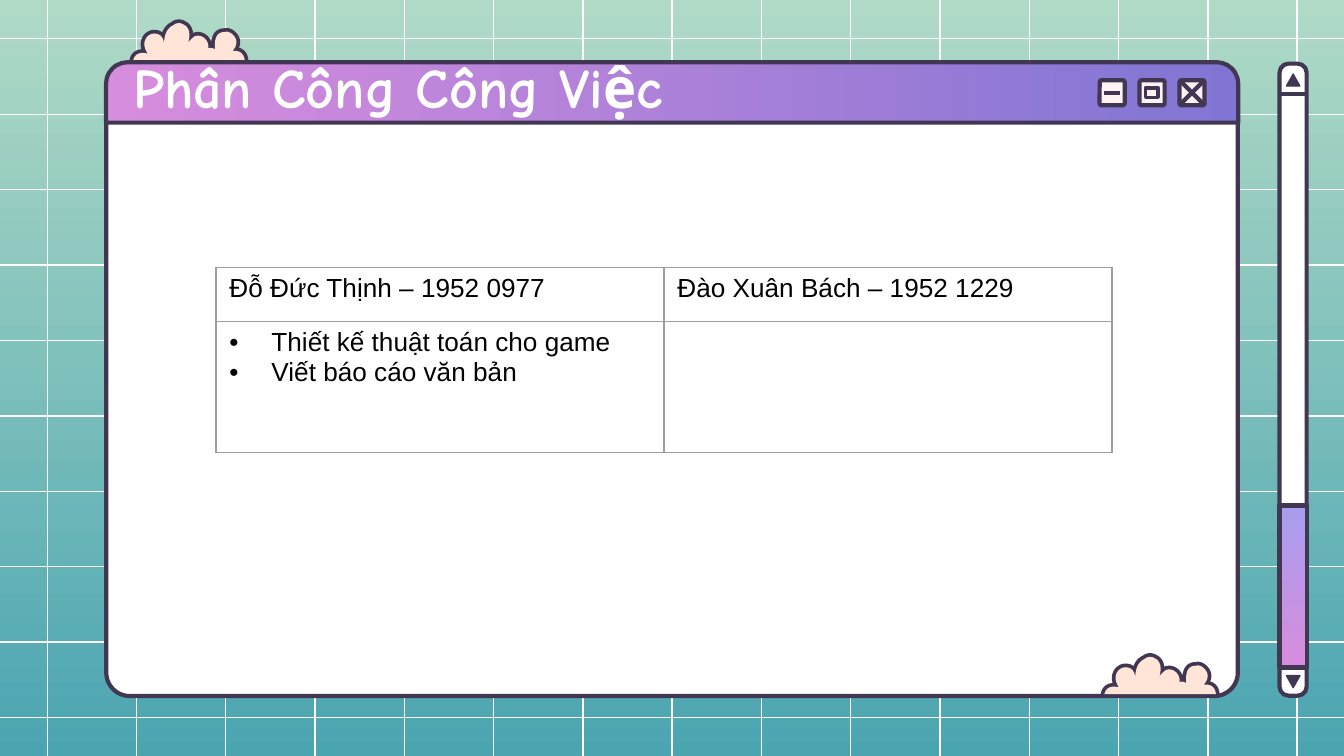
"""Build the work-assignment slide styled as a retro application window."""
from lxml.etree import SubElement
from pptx import Presentation
from pptx.dml.color import RGBColor
from pptx.enum.shapes import MSO_CONNECTOR, MSO_SHAPE
from pptx.enum.text import MSO_ANCHOR
from pptx.oxml.ns import qn
from pptx.util import Pt

TITLE = "Phân Công Công Việc"
ASSIGNMENTS = [
    [["Đỗ Đức Thịnh – 1952 0977"], ["Đào Xuân Bách – 1952 1229"]],
    [["Thiết kế thuật toán cho game", "Viết báo cáo văn bản"], []],
]

THEME = {
    "ink": "423752", "white": "FFFFFF", "black": "000000", "cloud": "FFE4D8",
    "button": "FEF2F2", "border": "9E9E9E",
    "background": ("B0DAC6", "4BA5B1"), "header": ("D78DDD", "8175D4"),
    "thumb": ("A89DEE", "D78DDD"),
    "title_font": "Comic Neue", "body_font": "Arial", "title_size": 30, "body_size": 14,
    "outline": 2.25, "hairline": 0.75, "icon": 2.27, "small_icon": 1.85,
}

WIDTH, HEIGHT = 720, 405
GRID_X = {"start": 25.3, "step": 47.83, "count": 15}
GRID_Y = {"start": 20.8, "step": 40.4, "count": 10}
BODY = (56.9, 58.3, 606.2, 314.6)
HEADER = (56.8, 33.3, 606.6, 32.4)
TITLE_BOX = (56.9, 35.3, 473.8, 28.8)
TRACK = (685.5, 34.1, 14.5, 338.6)
THUMB = (685.5, 270.8, 14.5, 86.5)
ARROWS = [((689.2, 39.7, 7.2, 6.4), 0), ((689.2, 362, 7.2, 6.4), 180)]
TRACK_ENDS = [50.4, 357.6]
BUTTONS = {"left": 589.1, "top": 43, "step": 21.4, "size": 13.4}
BUTTON_STROKES = [[(2.4, 6.7, 11, 6.7)], [], [(0.3, 0.3, 13, 13), (13, 0.3, 0.3, 13)]]
RESTORE_ICON = (3.2, 4.2, 6.8, 5)
TABLE = {"left": 115.7, "top": 143.2, "columns": [240, 240], "rows": [29, 70.2]}
BULLET_INDENT = 22.5

CLOUD_PLACES = {"bottom": (591.6, 351.7), "top": (71.3, 12.2)}
CLOUD_START = [(0, 20.2), (59.8, 20.2)]
CLOUD_CURVES = [
    ((59.8, 20.2), (59.8, 14.4), (53.3, 15.1)),
    ((53.3, 15.1), (56.9, 11.5), (54.7, 7.9)),
    ((53.3, 5.8), (51.1, 4.3), (49, 5)),
    ((46.1, 5), (43.2, 6.5), (43.9, 14.4)),
    ((43.9, 14.4), (42.5, 13), (40.3, 13.7)),
    ((41, 10.1), (37.4, 5.8), (33.1, 7.2)),
    ((32.4, 7.9), (31, 8.6), (29.5, 10.8)),
    ((29.5, 10.8), (32.4, 2.9), (26.6, 0.7)),
    ((25.2, 0), (23, 0), (21.6, 1.4)),
    ((19.4, 2.2), (16.6, 5), (16.6, 11.5)),
    ((16.6, 11.5), (16.6, 5.8), (11.5, 5.8)),
    ((9.4, 5.8), (7.2, 7.2), (6.5, 9.4)),
    ((5.8, 10.8), (5.8, 13.7), (7.9, 16.6)),
    ((7.9, 16.6), (1.4, 14.4), (0, 20.2)),
]
CURVE_STEPS = 8


def color(name):
    return RGBColor.from_string(THEME[name])


def set_values(target, values):
    for name, value in values.items():
        setattr(target, name, value)


def fill_gradient(fill, name, angle):
    fill.gradient()
    fill.gradient_angle = angle
    for stop, shade in zip(fill.gradient_stops, THEME[name]):
        stop.color.rgb = RGBColor.from_string(shade)


def paint(shape, fill=None, line="ink", weight=THEME["outline"], angle=None):
    shape.shadow.inherit = False
    if fill is None:
        shape.fill.background()
    elif angle is not None:
        fill_gradient(shape.fill, fill, angle)
    else:
        shape.fill.solid()
        shape.fill.fore_color.rgb = color(fill)
    if line is None:
        shape.line.fill.background()
    else:
        shape.line.color.rgb = color(line)
        shape.line.width = Pt(weight)


def add_block(slide, preset, box, adjustments=(), rotation=0, **style):
    shape = slide.shapes.add_shape(preset, *map(Pt, box))
    shape.rotation = rotation
    for index, value in enumerate(adjustments):
        shape.adjustments[index] = value
    paint(shape, **style)


def add_line(slide, ends, line="ink", weight=THEME["outline"]):
    connector = slide.shapes.add_connector(MSO_CONNECTOR.STRAIGHT, *map(Pt, ends))
    connector.line.color.rgb = color(line)
    connector.line.width = Pt(weight)
    SubElement(connector._element.spPr, qn("a:effectLst"))


def add_grid(slide):
    style = {"line": "white", "weight": THEME["hairline"]}
    for index in range(GRID_X["count"]):
        x = GRID_X["start"] + index * GRID_X["step"]
        add_line(slide, (x, 0, x, HEIGHT), **style)
    for index in range(GRID_Y["count"]):
        y = GRID_Y["start"] + index * GRID_Y["step"]
        add_line(slide, (0, y, WIDTH, y), **style)


def cloud_outline():
    points = list(CLOUD_START)
    for first, second, end in CLOUD_CURVES:
        corners = (points[-1], first, second, end)
        for step in range(1, CURVE_STEPS + 1):
            t = step / CURVE_STEPS
            weights = ((1 - t) ** 3, 3 * t * (1 - t) ** 2, 3 * t * t * (1 - t), t ** 3)
            points.append(tuple(sum(w * c[axis] for w, c in zip(weights, corners)) for axis in (0, 1)))
    return points


def add_cloud(slide, place):
    left, top = place
    points = [(Pt(left + x), Pt(top + y)) for x, y in cloud_outline()]
    for style in ({"fill": "ink", "weight": 4}, {"fill": "cloud", "line": None}):
        builder = slide.shapes.build_freeform(*points[0], scale=1.0)
        builder.add_line_segments(points[1:], close=True)
        paint(builder.convert_to_shape(), **style)


def add_scrollbar(slide):
    add_block(slide, MSO_SHAPE.ROUNDED_RECTANGLE, TRACK, [0.33], fill="white")
    for box, rotation in ARROWS:
        add_block(slide, MSO_SHAPE.ISOSCELES_TRIANGLE, box, rotation=rotation,
                  fill="ink", weight=THEME["hairline"])
    for y in TRACK_ENDS:
        add_line(slide, (TRACK[0], y, TRACK[0] + TRACK[2], y))
    add_block(slide, MSO_SHAPE.RECTANGLE, THUMB, fill="thumb", angle=270)


def add_title(slide):
    frame = slide.shapes.add_textbox(*map(Pt, TITLE_BOX)).text_frame
    set_values(frame, {"word_wrap": True, "vertical_anchor": MSO_ANCHOR.MIDDLE,
                       "margin_left": Pt(14.4), "margin_top": 0,
                       "margin_right": 0, "margin_bottom": Pt(7.2)})
    run = frame.paragraphs[0].add_run()
    run.text = TITLE
    set_values(run.font, {"name": THEME["title_font"], "size": Pt(THEME["title_size"]), "bold": True})
    run.font.color.rgb = color("white")


def add_buttons(slide):
    top, size = BUTTONS["top"], BUTTONS["size"]
    for index, strokes in enumerate(BUTTON_STROKES):
        left = BUTTONS["left"] + index * BUTTONS["step"]
        add_block(slide, MSO_SHAPE.ROUNDED_RECTANGLE, (left, top, size, size), [0.08],
                  fill="button", weight=THEME["icon"])
        for x1, y1, x2, y2 in strokes:
            add_line(slide, (left + x1, top + y1, left + x2, top + y2), weight=THEME["icon"])
        if not strokes:
            x, y, width, height = RESTORE_ICON
            add_block(slide, MSO_SHAPE.RECTANGLE, (left + x, top + y, width, height),
                      weight=THEME["small_icon"])


def add_borders(cell):
    properties = cell._tc.get_or_add_tcPr()
    for position, side in enumerate(("lnL", "lnR", "lnT", "lnB")):
        border = properties.makeelement(qn(f"a:{side}"), {"w": str(Pt(THEME["hairline"]))})
        properties.insert(position, border)
        SubElement(SubElement(border, qn("a:solidFill")), qn("a:srgbClr"), val=THEME["border"])


def add_bullet(paragraph):
    properties = paragraph._p.get_or_add_pPr()
    properties.set("marL", str(Pt(BULLET_INDENT)))
    properties.set("indent", str(-Pt(BULLET_INDENT)))
    SubElement(properties, qn("a:buFont"), typeface=THEME["body_font"])
    SubElement(properties, qn("a:buChar"), char="•")


def write_cell(cell, lines, bulleted):
    cell.fill.background()
    add_borders(cell)
    cell.text = "\n".join(lines)
    for paragraph in cell.text_frame.paragraphs:
        for run in paragraph.runs:
            set_values(run.font, {"name": THEME["body_font"], "size": Pt(THEME["body_size"])})
            run.font.color.rgb = color("black")
        if bulleted and lines:
            add_bullet(paragraph)


def add_assignments(slide):
    columns, rows = TABLE["columns"], TABLE["rows"]
    box = (TABLE["left"], TABLE["top"], sum(columns), sum(rows))
    table = slide.shapes.add_table(len(rows), len(columns), *map(Pt, box)).table
    set_values(table, {"first_row": False, "horz_banding": False})
    for column, width in zip(table.columns, columns):
        column.width = Pt(width)
    for index, (row, height) in enumerate(zip(table.rows, rows)):
        row.height = Pt(height)
        for cell, lines in zip(row.cells, ASSIGNMENTS[index]):
            write_cell(cell, lines, index > 0)


def main():
    presentation = Presentation()
    set_values(presentation, {"slide_width": Pt(WIDTH), "slide_height": Pt(HEIGHT)})
    slide = presentation.slides.add_slide(presentation.slide_layouts[6])
    fill_gradient(slide.background.fill, "background", 270)
    add_grid(slide)
    add_block(slide, MSO_SHAPE.ROUND_2_SAME_RECTANGLE, BODY, [0.04, 0], 180, fill="white")
    for place in CLOUD_PLACES.values():
        add_cloud(slide, place)
    add_block(slide, MSO_SHAPE.ROUND_2_SAME_RECTANGLE, HEADER, [0.36, 0], fill="header", angle=0)
    add_scrollbar(slide)
    add_title(slide)
    add_buttons(slide)
    add_assignments(slide)
    presentation.save("out.pptx")


if __name__ == "__main__":
    main()
